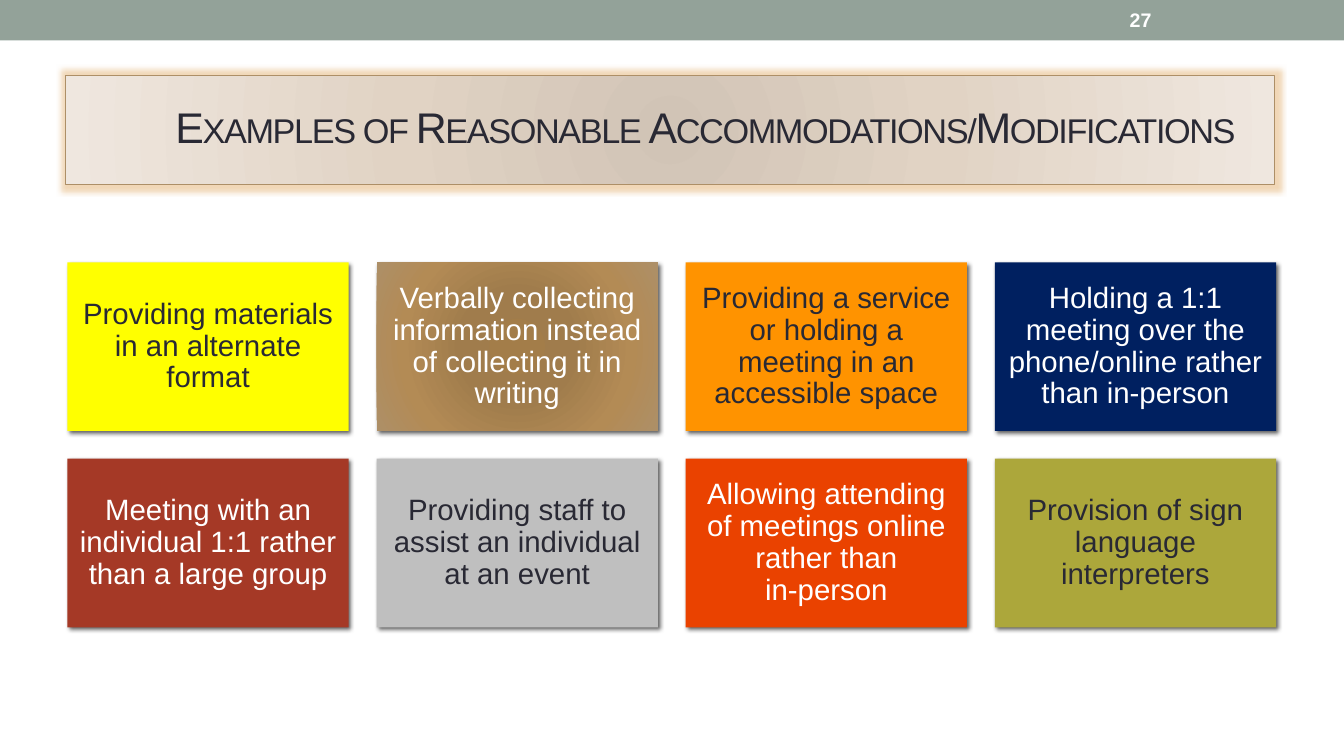
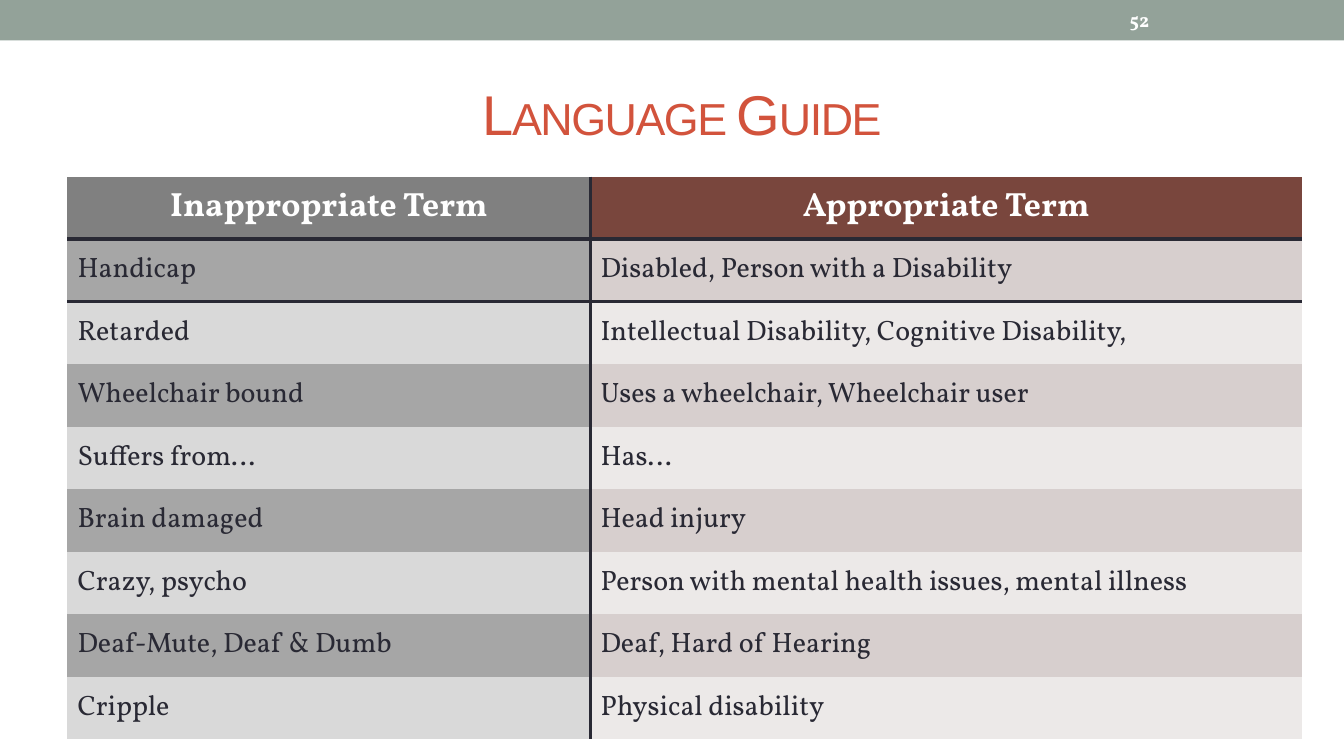
import dataclasses
import typing

import pptx
import pptx.dml.color
import pptx.enum.shapes
import pptx.enum.text
import pptx.oxml
import pptx.oxml.ns
import pptx.util

Cm = pptx.util.Cm
Pt = pptx.util.Pt
ALIGN = pptx.enum.text.PP_ALIGN
MIDDLE = pptx.enum.text.MSO_ANCHOR.MIDDLE
RECT = pptx.enum.shapes.MSO_SHAPE.RECTANGLE

INK = "292934"
WHITE = "FFFFFF"
BAND = "93A299"
RED = "D2533C"
TAN = "AD8F67"
SANS = "Arial"
SERIF = "Vollkorn"
WIDTH = 33.87
PLAIN = "{2D5ABB26-0587-4C30-8999-92F81FD0307C}"

Stops = tuple[tuple[int, str], ...]
SAND: Stops = ((0, "D1C4B6"), (45, "E1D3C4"), (100, "EFE7DF"))
BRONZE: Stops = ((0, "A37D49"), (34, "A07C4C"), (70, "B38B55"), (100, TAN))


@dataclasses.dataclass(frozen=True)
class Style:
    size: float
    color: str
    face: str = SANS
    bold: bool = False
    align: typing.Any = ALIGN.LEFT
    lead: float = 1.0


@dataclasses.dataclass(frozen=True)
class Card:
    text: str
    fill: str | Stops
    color: str


@dataclasses.dataclass(frozen=True)
class Column:
    width: float
    head: str
    fill: str
    bands: tuple[str, str]
    terms: tuple[str, ...]


CARDS = (
    Card("Providing materials in an alternate format", "FFFF00", INK),
    Card("Verbally collecting information instead of collecting it in writing", BRONZE, WHITE),
    Card("Providing a service or holding a meeting in an accessible space", "FF9300", INK),
    Card("Holding a 1:1 meeting over the phone/online rather than in-person", "002060", WHITE),
    Card("Meeting with an individual 1:1 rather than a large group", "A53926", WHITE),
    Card("Providing staff to assist an individual at an event", "BFBFBF", INK),
    Card("Allowing attending of meetings online rather than\nin-person", "EA4200", WHITE),
    Card("Provision of sign language interpreters", "ACA73B", INK),
)

COLUMNS = (
    Column(13.18, "Inappropriate Term", "808080", ("A6A6A6", "D9D9D9"), (
        "Handicap",
        "Retarded",
        "Wheelchair bound",
        "Suffers from…",
        "Brain damaged",
        "Crazy, psycho",
        "Deaf-Mute, Deaf & Dumb",
        "Cripple",
    )),
    Column(17.93, "Appropriate Term", "79463D", ("D7CFCE", "ECE9E8"), (
        "Disabled, Person with a Disability",
        "Intellectual Disability, Cognitive Disability,",
        "Uses a wheelchair, Wheelchair user",
        "Has…",
        "Head injury",
        "Person with mental health issues, mental illness",
        "Deaf, Hard of Hearing",
        "Physical disability",
    )),
)


def rgb(color: str) -> pptx.dml.color.RGBColor:
    return pptx.dml.color.RGBColor.from_string(color)


def node(tag: str, attrs: str, body: str) -> typing.Any:
    space = pptx.oxml.ns.nsdecls("a")
    return pptx.oxml.parse_xml(f"<a:{tag} {space} {attrs}>{body}</a:{tag}>")


def tint(color: str, alpha: int) -> str:
    return f'<a:srgbClr val="{color}"><a:alpha val="{alpha * 1000}"/></a:srgbClr>'


def paint(item: typing.Any, fill: str | Stops) -> None:
    if isinstance(fill, str):
        item.fill.solid()
        item.fill.fore_color.rgb = rgb(fill)
        return
    item.fill.gradient()
    stops = "".join(
        f'<a:gs pos="{pos * 1000}"><a:srgbClr val="{color}"/></a:gs>' for pos, color in fill
    )
    focus = '<a:fillToRect l="50000" t="50000" r="50000" b="50000"/>'
    grad = node("gradFill", 'rotWithShape="1"',
                f'<a:gsLst>{stops}</a:gsLst><a:path path="circle">{focus}</a:path>')
    props = item.element.spPr
    props.replace(props.find(pptx.oxml.ns.qn("a:gradFill")), grad)


def effect(shape: typing.Any, child: typing.Any) -> None:
    shape.shadow.inherit = False
    shape.element.spPr.find(pptx.oxml.ns.qn("a:effectLst")).append(child)


def write(frame: typing.Any, text: str, style: Style) -> typing.Any:
    frame.word_wrap = True
    para = frame.paragraphs[0]
    para.text = text
    para.alignment = style.align
    para.line_spacing = style.lead
    font = para.font
    font.name = style.face
    font.size = Pt(style.size)
    font.bold = style.bold
    font.color.rgb = rgb(style.color)
    return para


def place(shape: typing.Any, left: float, top: float, width: float, height: float) -> None:
    shape.left, shape.top = Cm(left), Cm(top)
    shape.width, shape.height = Cm(width), Cm(height)


def block(slide: typing.Any, left: float, top: float, width: float, height: float,
          fill: str | Stops) -> typing.Any:
    shape = slide.shapes.add_shape(RECT, Cm(left), Cm(top), Cm(width), Cm(height))
    shape.shadow.inherit = False
    paint(shape, fill)
    shape.line.fill.background()
    return shape


def title(slide: typing.Any, text: str, left: float, top: float, style: Style) -> typing.Any:
    shape = slide.shapes.title
    place(shape, left, top, 30.48, 2.75)
    frame = shape.text_frame
    frame.auto_size = pptx.enum.text.MSO_AUTO_SIZE.NONE
    frame.vertical_anchor = MIDDLE
    para = write(frame, text, style)
    props = para._p.pPr.find(pptx.oxml.ns.qn("a:defRPr"))
    props.set("cap", "small")
    props.set("spc", "-100")
    return shape


def number(slide: typing.Any, text: str, face: str) -> None:
    box = slide.shapes.add_textbox(Cm(28.22), Cm(0.05), Cm(3.96), Cm(0.91))
    box.text_frame.vertical_anchor = MIDDLE
    write(box.text_frame, text, Style(14, WHITE, face, True))


def band(deck: typing.Any, slide: typing.Any) -> None:
    bar = block(slide, 0, 0, WIDTH, 1.02, BAND)
    bar.element.nvSpPr.cNvPr.set("id", "99")
    deck.slide_master.element.cSld.spTree.insert(2, bar.element)


def grid(slide: typing.Any) -> None:
    width, height, gap = 7.09, 4.25, 0.7
    for index, card in enumerate(CARDS):
        row, col = divmod(index, 4)
        shape = block(slide, 1.7 + col * (width + gap), 6.61 + row * (height + gap),
                      width, height, card.fill)
        effect(shape, node("outerShdw", 'blurRad="38100" dist="25400" dir="2700000"',
                           tint("000000", 60)))
        frame = shape.text_frame
        frame.vertical_anchor = MIDDLE
        frame.margin_left = frame.margin_right = Cm(0.23)
        frame.margin_top = frame.margin_bottom = Cm(0.23)
        write(frame, card.text, Style(21, card.color, align=ALIGN.CENTER, lead=0.9))


def edge(cell: typing.Any, sides: str) -> None:
    props = cell._tc.get_or_add_tcPr()
    body = f'<a:solidFill><a:srgbClr val="{INK}"/></a:solidFill>'
    for spot, side in enumerate(sides):
        props.insert(spot, node(f"ln{side}", f'w="{Pt(3)}"', body))


def guide(slide: typing.Any) -> None:
    count = len(COLUMNS[0].terms) + 1
    high = 1.575
    total = sum(column.width for column in COLUMNS)
    table = slide.shapes.add_table(count, len(COLUMNS), Cm(1.7), Cm(4.45),
                                   Cm(total), Cm(high * count)).table
    table._tbl.tblPr.find(pptx.oxml.ns.qn("a:tableStyleId")).text = PLAIN
    for row in table.rows:
        row.height = Cm(high)
    head = Style(24, WHITE, SERIF, True, ALIGN.CENTER)
    plain = Style(20, INK, SERIF)
    for col, column in enumerate(COLUMNS):
        table.columns[col].width = Cm(column.width)
        for row, text in enumerate((column.head, *column.terms)):
            cell = table.cell(row, col)
            cell.vertical_anchor = MIDDLE
            paint(cell, column.bands[(row - 1) % 2] if row else column.fill)
            write(cell.text_frame, text, plain if row else head)
            edge(cell, "RL"[col] + {0: "B", 1: "T"}.get(row, ""))


def main() -> None:
    deck = pptx.Presentation()
    deck.slide_width, deck.slide_height = Cm(WIDTH), Cm(19.05)
    layout = deck.slide_layouts[5]

    first = deck.slides.add_slide(layout)
    band(deck, first)
    banner = title(first, "Examples of Reasonable Accommodations/Modifications", 1.65, 1.9,
                   Style(30.6, INK, align=ALIGN.CENTER, lead=0.9))
    paint(banner, SAND)
    banner.line.color.rgb = rgb(TAN)
    banner.line.width = Pt(0.75)
    effect(banner, node("glow", f'rad="{Pt(8)}"', tint("E0A860", 45)))
    number(first, "27", SANS)
    grid(first)

    second = deck.slides.add_slide(layout)
    title(second, "Language Guide", 1.7, 1.47, Style(40, RED, align=ALIGN.CENTER))
    guide(second)
    number(second, "52", SERIF)

    deck.save("out.pptx")


if __name__ == "__main__":
    main()
